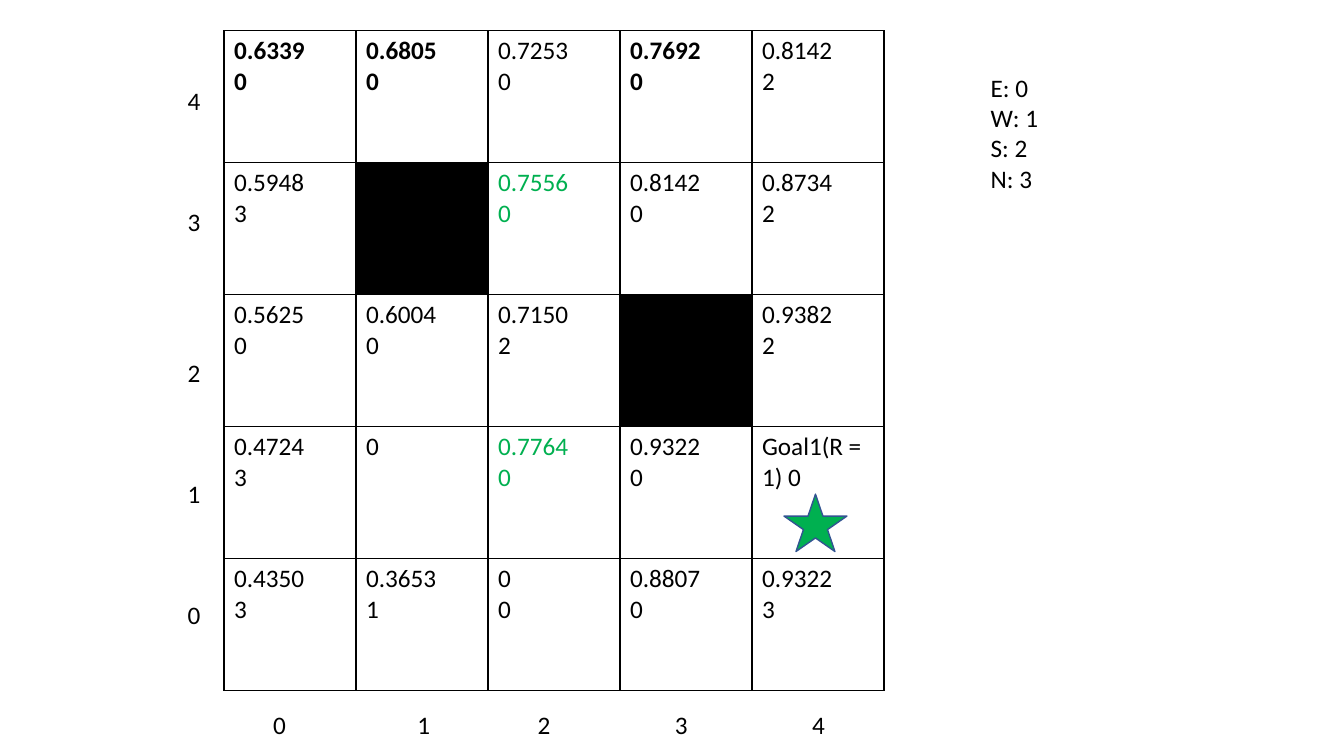
from lxml.etree import SubElement
from pptx import Presentation
from pptx.dml.color import RGBColor as RGB
from pptx.enum.shapes import MSO_SHAPE as SHAPE
from pptx.oxml.ns import qn
from pptx.util import Pt

THEME = {
    "font": "Calibri",
    "size": 18,
    "ink": "000000",
    "paper": "FFFFFF",
    "green": "00B050",
    "star_line": "325491",
}


def style_text(tf, color="ink", bold=False):
    """Format every run of a text frame."""
    for p in tf.paragraphs:
        for r in p.runs:
            r.font.name = THEME["font"]
            r.font.size = Pt(THEME["size"])
            r.font.bold = bold
            r.font.color.rgb = RGB.from_string(THEME[color])


def add_text(s, left, top, width, height, text):
    """Add a wrapped text box and return its text frame."""
    tf = s.shapes.add_textbox(Pt(left), Pt(top), Pt(width), Pt(height)).text_frame
    tf.word_wrap = True
    tf.text = text
    style_text(tf)
    return tf


prs = Presentation()
prs.slide_width, prs.slide_height = Pt(960), Pt(540)
s = prs.slides.add_slide(prs.slide_layouts[6])

# Grid world: state value, then best action; None is a wall
GRID = [
    ["0.6339\n0", "0.6805\n0", "0.7253\n0", "0.7692\n0", "0.8142\n2"],
    ["0.5948\n3", None, "0.7556\n0", "0.8142\n0", "0.8734\n2"],
    ["0.5625\n0", "0.6004\n0", "0.7150\n2", None, "0.9382\n2"],
    ["0.4724\n3", "0", "0.7764\n0", "0.9322\n0", "Goal1(R = 1) 0"],
    ["0.4350\n3", "0.3653\n1", "0\n0", "0.8807\n0", "0.9322\n3"],
]
BOLD = {(0, 0), (0, 1), (0, 3)}
GREEN = {(1, 2), (3, 2)}
CELL = 94.3
n = len(GRID)

table = s.shapes.add_table(n, n, Pt(160), Pt(22), Pt(n * CELL), Pt(n * CELL)).table
table.first_row = table.horz_banding = False
for i in range(n):
    table.columns[i].width = table.rows[i].height = Pt(CELL)

for row, values in enumerate(GRID):
    for col, value in enumerate(values):
        cell = table.cell(row, col)
        tcPr = cell._tc.get_or_add_tcPr()
        for side in ("a:lnL", "a:lnR", "a:lnT", "a:lnB"):
            ln = SubElement(tcPr, qn(side), w=str(Pt(1)))
            fill = SubElement(ln, qn("a:solidFill"))
            SubElement(fill, qn("a:srgbClr"), val=THEME["ink"])
        cell.fill.solid()
        cell.fill.fore_color.rgb = RGB.from_string(THEME["paper" if value else "ink"])
        if value:
            cell.text = value
            color = "green" if (row, col) in GREEN else "ink"
            style_text(cell.text_frame, color, (row, col) in BOLD)

# Goal marker
star = s.shapes.add_shape(SHAPE.STAR_5_POINT, Pt(560), Pt(353), Pt(45), Pt(41))
star.shadow.inherit = False
star.fill.solid()
star.fill.fore_color.rgb = RGB.from_string(THEME["green"])
star.line.color.rgb = RGB.from_string(THEME["star_line"])
star.line.width = Pt(1)

# Action legend
add_text(s, 700.5, 48, 176, 94, "E: 0\nW: 1\nS: 2\nN: 3")

# Column numbers, set on tab stops
tf = add_text(s, 188, 503, 419, 29, "\t".join(str(i) for i in range(n)))
tab_list = SubElement(tf.paragraphs[0]._p.get_or_add_pPr(), qn("a:tabLst"))
for stop in (103, 189, 287, 385):
    SubElement(tab_list, qn("a:tab"), pos=str(Pt(stop)), algn="l")

# Row numbers, spread by paragraph spacing
tf = add_text(s, 127, 57.5, 26, 400, "\n".join(str(i) for i in reversed(range(n))))
for p, gap in zip(tf.paragraphs[1:], (64.8, 86.4, 64.8, 64.8)):
    p.space_before = Pt(gap)

prs.save("out.pptx")
